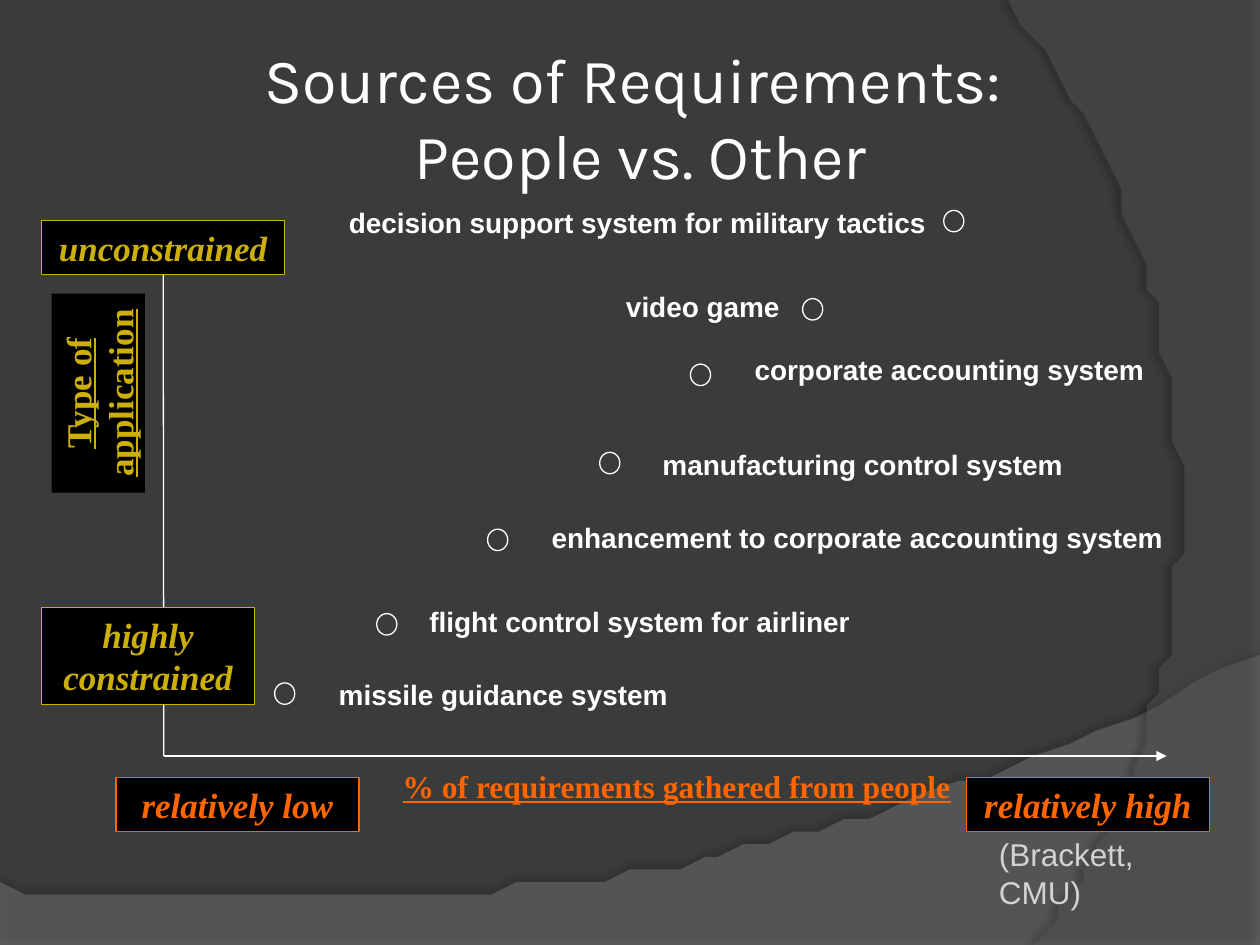
from lxml.etree import SubElement as Sub
from pptx import Presentation
from pptx.dml.color import RGBColor as Rgb
from pptx.enum.shapes import MSO_CONNECTOR as Conn, MSO_SHAPE as Kind
from pptx.enum.text import MSO_ANCHOR as Anchor, PP_ALIGN as Align
from pptx.oxml.ns import qn
from pptx.util import Inches, Pt

HEX = {"back": "3B3B3B", "white": "FFFFFF", "black": "000000", "gold": "CCAF0A",
       "orange": "FF6600", "note": "D4D2D0", "wave": "7F7F7F", "arc": "5E5E5E"}
COLS, ROWS = 100, 75
CELL = Inches(10) // COLS
SERIF, SANS = "Times New Roman", "Arial"

# Dot column and row in the plot, label offset from the dot, label width
ITEMS = [
    ("missile guidance system", 8.8, 39.2, 4.1, -0.9, 31.4),
    ("flight control system for airliner", 16.9, 33.7, 3.2, -1.2, 37.8),
    ("enhancement to corporate accounting system", 25.7, 27, 4.1, -1.2, 52.3),
    ("manufacturing control system", 34.6, 20.9, 4, -0.9, 42.6),
    ("corporate accounting system", 41.8, 13.9, 4.1, -1.4, 37.8),
    ("video game", 50.7, 8.7, -15, -1.2, 16),
    ("decision support system for military tactics", 61.9, 1.7, -48.2, -0.9, 48.3),
]


def tint(name):
    return Rgb.from_string(HEX[name])


def place(box, x, y, w, h):
    """Slide lengths of a part given in cells from the corner of its box."""
    return [round(v * CELL) for v in (box[0] + x, box[1] + y, w, h)]


def style(frame, text, font, size, color, align=Align.LEFT, **marks):
    frame.text = text
    frame.word_wrap = True
    for par in frame.paragraphs:
        par.alignment = align
        par.font.name, par.font.size = font, Pt(size)
        par.font.color.rgb = tint(color)
        for mark, on in marks.items():
            setattr(par.font, mark, on)


def label(slide, spot, *look, **marks):
    frame = slide.shapes.add_textbox(*spot).text_frame
    style(frame, *look, **marks)
    return frame


def solid(slide, kind, spot, fill, line=None):
    shape = slide.shapes.add_shape(kind, *spot)
    shape.shadow.inherit = False
    shape.fill.solid()
    shape.fill.fore_color.rgb = tint(fill)
    if line:
        shape.line.color.rgb = tint(line)
        shape.line.width = Pt(0.75)
    else:
        shape.line.fill.background()
    return shape


def tag(slide, spot, text, color, line=True, **marks):
    shape = solid(slide, Kind.RECTANGLE, spot, "black", color if line else None)
    style(shape.text_frame, text, SERIF, 20, color, Align.CENTER, bold=True, **marks)
    return shape


def curve(a, b, c, d, steps=48):
    """Points along a cubic curve, start left out."""
    for i in range(1, steps + 1):
        t = i / steps
        u = 1 - t
        yield tuple(u**3 * p + 3 * u * u * t * q + 3 * u * t * t * r + t**3 * s
                    for p, q, r, s in zip(a, b, c, d))


def sweep(slide, points, fill, alpha, shade, blur, dist, angle):
    """Translucent backdrop area with a soft shadow."""
    pen = slide.shapes.build_freeform(*points[0], scale=CELL)
    pen.add_line_segments(points[1:], close=True)
    shape = pen.convert_to_shape()
    shape.shadow.inherit = False
    shape.line.fill.background()
    shape.fill.solid()
    shape.fill.fore_color.rgb = tint(fill)
    props = shape.element.spPr
    Sub(props.find(".//" + qn("a:srgbClr")), qn("a:alpha"), val=str(alpha * 1000))
    cast = Sub(props.find(qn("a:effectLst")), qn("a:outerShdw"), blurRad=str(Pt(blur)),
               dist=str(Pt(dist)), dir=str(angle * 60000), algn="ctr", rotWithShape="0")
    color = Sub(cast, qn("a:srgbClr"), val=HEX["black"])
    Sub(color, qn("a:alpha"), val=str(shade * 1000))


def backdrop(slide, box):
    x, y, w, h = box
    right, foot = x + w, y + h
    wave = [(x, foot - 4.5), (x, foot), (right, foot), (right, 52)]
    wave += curve((right, 52), (55.9, 72.9), (39.1, 71.9), (x, foot - 4.5))
    sweep(slide, wave, "wave", 45, 35, 4, 3.5, 270)
    arc = [(right, 0.2), (right, foot), (82.1, foot)]
    arc += curve((82.1, foot), (93.5, 61.9), (101.8, 30), (80, y))
    sweep(slide, arc, "arc", 40, 45, 4, 4, 180)


def heading(slide, box):
    title = slide.shapes.title
    title.left, title.top, title.width, title.height = place(box, 0, 0, *box[2:])
    frame = title.text_frame
    style(frame, "Sources of Requirements: \vPeople vs. Other", "Karla", 36, "white",
          Align.CENTER)
    frame.vertical_anchor = Anchor.MIDDLE
    frame.margin_left = frame.margin_right = Inches(0.05)


def axes(slide, box):
    """Two arrows from the lower left corner; returns the upright one."""
    x, y, w, h = place(box, 0, 0, *box[2:])
    lines = []
    for end in ((x + w, y + h), (x, y)):
        line = slide.shapes.add_connector(Conn.STRAIGHT, x, y + h, *end)
        line.line.color.rgb = tint("white")
        line.line.width = Pt(0.75)
        Sub(line.line._get_or_add_ln(), qn("a:tailEnd"), type="triangle")
        Sub(line.element.spPr, qn("a:effectLst"))
        lines.append(line)
    return lines[1]


def side(slide, box, axis):
    """Names and ends of the upright axis."""
    name = tag(slide, place(box, -3.4, 10, 15.8, 7.4), "Type of application", "gold",
               line=False, underline=True)
    name.rotation = 270
    tag(slide, place(box, 0, 30.7, 16.9, 7.7), "highly constrained", "gold", italic=True)
    top = tag(slide, place(box, 0, 0, 19.3, 4.3), "unconstrained", "gold", italic=True)
    axis.end_connect(top, 0)


def base(slide, box):
    """Name and ends of the level axis, with the credit below."""
    frame = label(slide, place(box, 16.6, 0, 55.8, 2.7),
                  "% of requirements gathered from people", SERIF, 18, "orange",
                  Align.CENTER, bold=True, underline=True)
    frame.paragraphs[0].line_spacing = 0.5
    for x, text in ((0, "relatively low"), (box[2] - 19.3, "relatively high")):
        tag(slide, place(box, x, 0, 19.3, 4.3), text, "orange", italic=True)
    label(slide, place(box, 69.1, 4.1, 16, 6.5), "(Brackett, CMU)", SANS, 18, "note")


def plot(slide, box):
    for text, x, y, dx, dy, w in ITEMS:
        solid(slide, Kind.OVAL, place(box, x, y, 1.6, 1.7), "back", "white")
        label(slide, place(box, x + dx, y + dy, w, 3.7), text, SANS, 16, "white",
              bold=True)


def main():
    deck = Presentation()
    deck.slide_width, deck.slide_height = COLS * CELL, ROWS * CELL
    slide = deck.slides.add_slide(deck.slide_layouts[5])
    slide.background.fill.solid()
    slide.background.fill.fore_color.rgb = tint("back")
    backdrop(slide, (0, 0, COLS, ROWS))
    heading(slide, (5, 3, 91.7, 12.5))
    axis = axes(slide, (13, 17.5, 79.6, 42.5))
    side(slide, (3.3, 17.5, 19.3, 38.4), axis)
    plot(slide, (13, 15, 79.6, 45))
    base(slide, (9.2, 61.7, 86.8, 11))
    deck.save("out.pptx")


if __name__ == "__main__":
    main()
